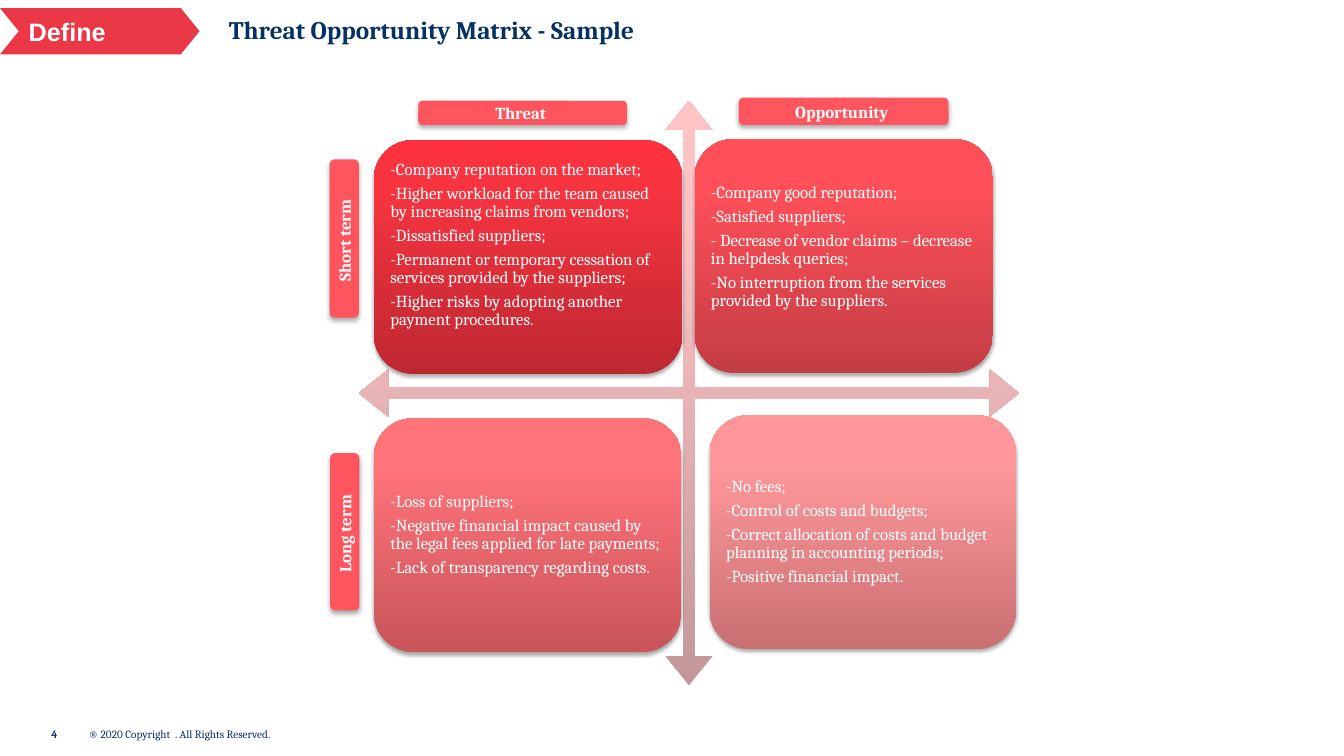
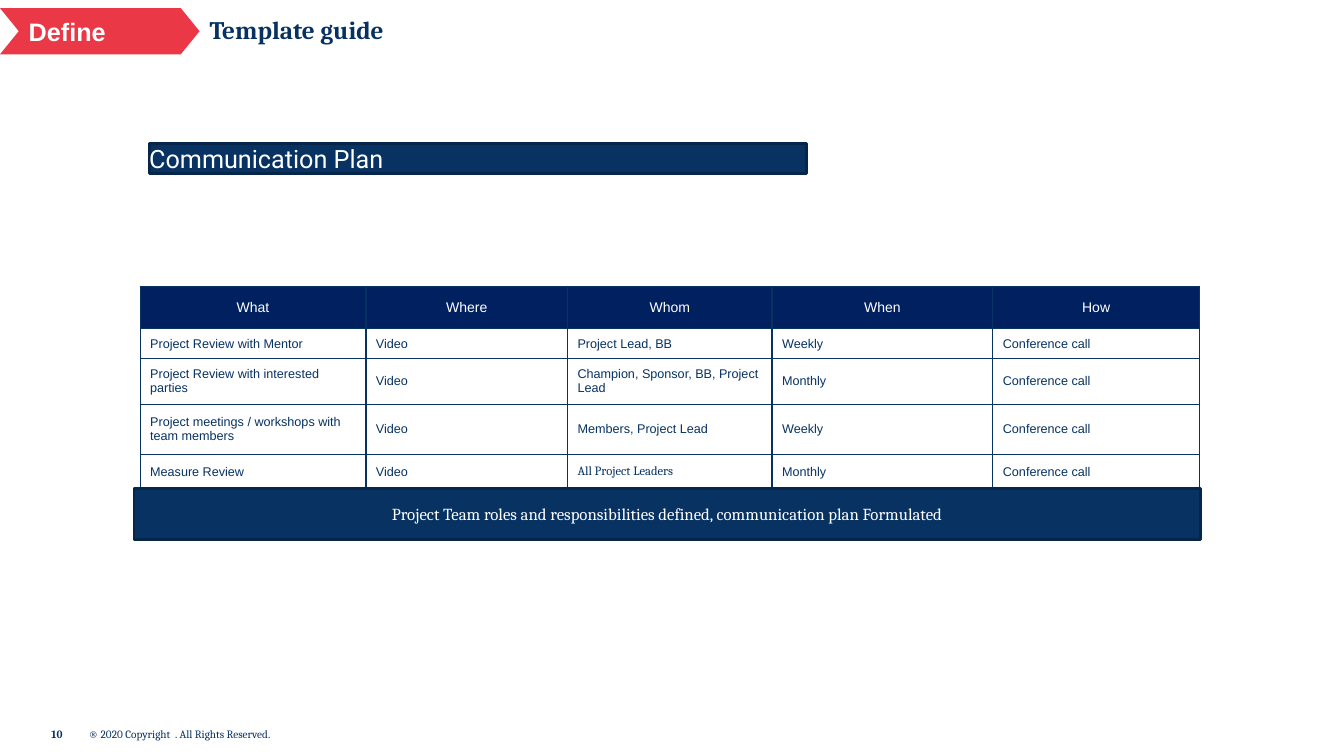
from copy import deepcopy
from dataclasses import dataclass

from pptx import Presentation, oxml, util as u
from pptx.dml.color import RGBColor
from pptx.enum import shapes, text
from pptx.oxml import ns


@dataclass(frozen=True)
class Theme:
    navy: str = "073262"
    title_navy: str = "063161"
    outline_navy: str = "052549"
    header_navy: str = "002060"
    red: str = "EB3846"
    coral: str = "FF555F"
    white: str = "FFFFFF"
    serif: str = "Cambria"
    sans: str = "Arial"
    display: str = "Roboto"
    title_size: int = 18
    body_size: int = 12
    header_size: int = 10
    cell_size: int = 9
    footer_size: int = 8


theme = Theme()
SHAPE, ALIGN, ANCHOR = shapes.MSO_SHAPE, text.PP_ALIGN, text.MSO_ANCHOR
LEFT, CENTER = ALIGN.LEFT, ALIGN.CENTER
FLUSH, PADDED, SNUG = (0, 0, 0, 0), (0.1, 0.05, 0.1, 0.05), (0.05, 0.05, 0.05, 0.05)

prs = Presentation()
prs.slide_width, prs.slide_height = u.Inches(13.33), u.Inches(7.5)
COL, ROW = prs.slide_width / 160, prs.slide_height / 90


def place(slide, kind, box, fill, line=None, shadow=None):
    left, top, width, height = box
    shape = slide.shapes.add_shape(
        kind, int(left * COL), int(top * ROW), int(width * COL), int(height * ROW))
    shape.shadow.inherit = False
    if isinstance(fill, str):
        shape.fill.solid()
        shape.fill.fore_color.rgb = RGBColor.from_string(fill)
    else:
        shape.fill.gradient()
        shape.fill.gradient_angle = 90
        stops = shape._element.spPr.xpath(".//a:gsLst")[0]
        stops.append(deepcopy(stops[0]))
        for stop, position, color in zip(shape.fill.gradient_stops, (0, 0.8, 1), fill):
            stop.position = position
            stop.color.rgb = RGBColor.from_string(color)
    if line:
        shape.line.color.rgb = RGBColor.from_string(line)
        shape.line.width = u.Pt(2)
    else:
        shape.line.fill.background()
    if shadow:
        alpha, blur, distance = shadow
        shape._element.spPr.xpath("./a:effectLst")[0].append(oxml.parse_xml(
            f'<a:outerShdw {ns.nsdecls("a")} blurRad="{u.Pt(blur)}" dist="{u.Pt(distance)}" '
            f'dir="5400000" rotWithShape="0"><a:srgbClr val="000000">'
            f'<a:alpha val="{alpha * 1000}"/></a:srgbClr></a:outerShdw>'))
    return shape


def write(frame, words, size, color, font=theme.serif, bold=False, align=LEFT,
          margins=PADDED, anchor=ANCHOR.MIDDLE, wrap=True):
    frame.text = words
    frame.word_wrap = wrap
    frame.vertical_anchor = anchor
    frame.margin_left, frame.margin_top, frame.margin_right, frame.margin_bottom = map(
        u.Inches, margins)
    for paragraph in frame.paragraphs:
        paragraph.alignment = align
        for run in paragraph.runs:
            run.font.size, run.font.name, run.font.bold = u.Pt(size), font, bold
            run.font.color.rgb = RGBColor.from_string(color)


pages = []
for heading, heading_col, number in [
    ("Threat Opportunity Matrix - Sample", 26.04, "4"),
    ("Template guide", 23.76, "10"),
]:
    page = prs.slides.add_slide(prs.slide_layouts[5])
    pages.append(page)
    title = page.shapes.title
    title.left, title.top = int(heading_col * COL), 0
    title.width, title.height = int(94.92 * COL), int(6.96 * ROW)
    write(title.text_frame, heading, theme.title_size, theme.title_navy, bold=True)
    for words, col, width, bold in [
        (number, 6.12, 9, True),
        ("® 2020 Copyright  . All Rights Reserved.", 10.56, 30.96, False),
    ]:
        footer = page.shapes.add_textbox(
            int(col * COL), int(85.92 * ROW), int(width * COL), int(2.88 * ROW))
        write(footer.text_frame, words, theme.footer_size, theme.navy, bold=bold, margins=FLUSH)
    phase = place(page, SHAPE.CHEVRON, (0, 0.96, 23.76, 5.52), theme.red)
    phase.adjustments[0] = 0.406
    write(phase.text_frame, "Define", theme.title_size, theme.white, theme.sans, True, wrap=False)

matrix, plan = pages

axes = place(matrix, SHAPE.QUAD_ARROW, (42.72, 12, 78.6, 69.6), ("C39798", "FEC4C5", "FFC5C6"))
for index, share in enumerate((0.02, 0.04, 0.05)):
    axes.adjustments[index] = share

quadrants = [
    (44.52, 16.68, 36.72, ("BE2831", "F73440", "FC313D"), (0.05, 0.05, 0.05, 0.29), [
        "-Company reputation on the market;",
        "-Higher workload for the team caused by increasing claims from vendors;",
        "-Dissatisfied suppliers;",
        "-Permanent or temporary cessation of services provided by the suppliers;",
        "-Higher risks by adopting another payment procedures."]),
    (82.68, 16.56, 35.52, ("C43D44", "FF5059", "FF515A"), (0.05, 0.05, 0.05, 0.23), [
        "-Company good reputation;",
        "-Satisfied suppliers;",
        "- Decrease of vendor claims – decrease in helpdesk queries;",
        "-No interruption from the services provided by the suppliers."]),
    (44.52, 49.8, 36.6, ("C8555A", "FF7379", "FF757B"), SNUG, [
        "-Loss of suppliers;",
        "-Negative financial impact caused by the legal fees applied for late payments;",
        "-Lack of transparency regarding costs."]),
    (84.48, 49.44, 36.48, ("C97073", "FF979A", "FF999C"), SNUG, [
        "-No fees;",
        "-Control of costs and budgets;",
        "-Correct allocation of costs and budget planning in accounting periods;",
        "-Positive financial impact."]),
]
for col, row, width, gradient, margins, points in quadrants:
    quadrant = place(matrix, SHAPE.ROUNDED_RECTANGLE, (col, row, width, 27.84), gradient,
                     shadow=(35, 3.1, 1.8))
    write(quadrant.text_frame, "\n".join(points), theme.body_size, theme.white, margins=margins)
    for point in quadrant.text_frame.paragraphs:
        point.line_spacing = 0.9
        point.space_after = u.Pt(0.35 * theme.body_size)

for words, box, turn in [
    ("Opportunity ", (87.96, 11.64, 24.96, 3.24), 0),
    ("Threat ", (49.8, 12, 24.84, 2.88), 0),
    ("Short term ", (31.56, 26.64, 18.84, 3.48), 270),
    ("Long term ", (31.68, 61.56, 18.72, 3.48), 270),
]:
    axis_label = place(matrix, SHAPE.ROUNDED_RECTANGLE, box, theme.coral, shadow=(32, 3.5, 2.2))
    axis_label.rotation = turn
    write(axis_label.text_frame, words, theme.body_size, theme.white, bold=True, align=CENTER)

plan_heading = place(plan, SHAPE.RECTANGLE, (17.76, 17.04, 78.24, 3.6), theme.navy,
                     theme.outline_navy)
write(plan_heading.text_frame, "Communication Plan", theme.title_size, theme.white,
      theme.display, margins=FLUSH, anchor=ANCHOR.TOP)
plan_heading.text_frame.auto_size = text.MSO_AUTO_SIZE.SHAPE_TO_FIT_TEXT

meetings = [
    ("What", "Where", "Whom", "When", "How"),
    ("Project Review with Mentor", "Video", "Project Lead, BB", "Weekly", "Conference call"),
    ("Project Review with interested parties", "Video", "Champion, Sponsor, BB, Project Lead",
     "Monthly", "Conference call"),
    ("Project meetings / workshops with team members", "Video", "Members, Project Lead",
     "Weekly", "Conference call"),
    ("Measure Review", "Video", "All Project Leaders ", "Monthly", "Conference call"),
]
col_spans = (26.88, 24, 24.36, 26.28, 24.6)
row_spans = (5.04, 3.6, 5.4, 6, 4.08)
schedule = plan.shapes.add_table(
    len(row_spans), len(col_spans), int(16.68 * COL), int(34.08 * ROW),
    int(sum(col_spans) * COL), int(sum(row_spans) * ROW)).table
schedule.first_row = schedule.horz_banding = False
for column, span in zip(schedule.columns, col_spans):
    column.width = int(span * COL)
for r, (span, meeting) in enumerate(zip(row_spans, meetings)):
    schedule.rows[r].height = int(span * ROW)
    for c, words in enumerate(meeting):
        cell = schedule.cell(r, c)
        font = theme.serif if words.startswith("All") else theme.sans
        if r == 0:
            write(cell.text_frame, words, theme.header_size, theme.white, font, align=CENTER)
            cell.fill.solid()
            cell.fill.fore_color.rgb = RGBColor.from_string(theme.header_navy)
        else:
            write(cell.text_frame, words, theme.cell_size, theme.navy, font)
            cell.fill.background()
        cell.vertical_anchor = ANCHOR.MIDDLE
        cell.margin_left = cell.margin_right = u.Inches(0.1)
        cell.margin_top = cell.margin_bottom = 0
        for index, side in enumerate("LRTB"):
            cell._tc.get_or_add_tcPr().insert(index, oxml.parse_xml(
                f'<a:ln{side} {ns.nsdecls("a")} w="{u.Pt(1)}"><a:solidFill>'
                f'<a:srgbClr val="{theme.navy}"/></a:solidFill></a:ln{side}>'))

outcome = place(plan, SHAPE.RECTANGLE, (15.96, 58.2, 126.96, 6), theme.navy, theme.outline_navy)
write(outcome.text_frame,
      "Project Team roles and responsibilities defined, communication plan Formulated",
      theme.body_size, theme.white, align=CENTER, wrap=False)

prs.save("out.pptx")
